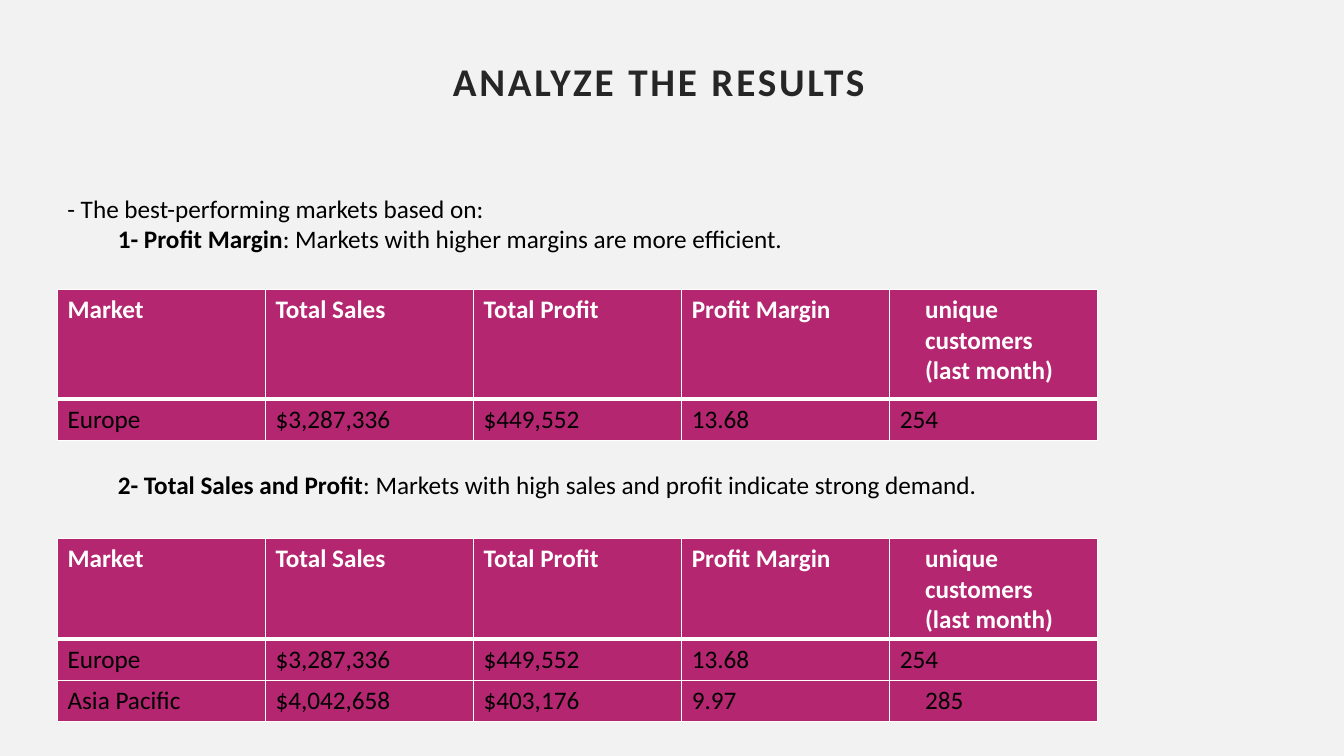
"""Build the slide that analyzes the best-performing markets."""
from pptx import Presentation
from pptx.dml.color import RGBColor
from pptx.enum.text import MSO_ANCHOR as Anchor, MSO_AUTO_SIZE as Fit, PP_ALIGN as Align
from pptx.oxml.ns import qn
from pptx.util import Inches, Pt
from lxml.etree import SubElement

PALE = RGBColor(0xF2, 0xF2, 0xF2)
DARK = RGBColor(0x26, 0x26, 0x26)
BLACK = RGBColor(0, 0, 0)
WHITE = RGBColor(0xFF, 0xFF, 0xFF)
PINK = RGBColor(0xB4, 0x26, 0x70)

LEFT = 0.57
COL = 2.064
ROW = 0.41
LAST = "unique customers\n(last month)"
HEAD = ["Market", "Total Sales", "Total Profit", "Profit Margin", LAST]
EUROPE = ["Europe", "$3,287,336", "$449,552", "13.68", "254"]
ASIA = ["Asia Pacific", "$4,042,658", "$403,176", "9.97", "285"]
INSET = {LAST, "285"}


def style(para, size, color, bold=None):
    """Set the font of a paragraph."""
    font = para.font
    font.name, font.size, font.bold = "Calibri", Pt(size), bold
    font.color.rgb = color


def indent(para, width):
    """Move a paragraph one level in, by the given inches."""
    para.level = 1
    props = para._p.get_or_add_pPr()
    props.set("marL", str(Inches(width)))
    props.set("indent", "0")


def add_title(slide, text):
    """Place the spaced, centred heading."""
    title = slide.shapes.title
    title.left, title.top = Inches(2.31), Inches(0.57)
    title.width, title.height = Inches(8.45), Inches(1.3)
    frame = title.text_frame
    frame.text = text
    frame.word_wrap = True
    frame.auto_size = Fit.NONE
    frame.vertical_anchor = Anchor.TOP
    para = frame.paragraphs[0]
    para.alignment, para.line_spacing = Align.CENTER, 0.9
    style(para, 28, DARK, True)
    para.runs[0].font._element.set("spc", "200")


def add_point(frame, label, text, gap=0):
    """Add an indented point with a bold label."""
    para = frame.add_paragraph()
    para.space_before = Pt(gap)
    indent(para, 0.5)
    style(para, 18, BLACK)
    for words, bold in ((label, True), (text, False)):
        run = para.add_run()
        run.text, run.font.bold = words, bold


def add_body(slide):
    """Add the lead line and its two points around the first table."""
    box = slide.shapes.add_textbox(
        Inches(LEFT), Inches(1.87), Inches(11.56), Inches(4.95))
    frame = box.text_frame
    frame.word_wrap = True
    frame.text = "- The best-performing markets based on:"
    style(frame.paragraphs[0], 18, BLACK)
    add_point(frame, "1- Profit Margin",
              ": Markets with higher margins are more efficient.")
    add_point(frame, "2- Total Sales and Profit",
              ": Markets with high sales and profit indicate strong demand.", 154)


def add_edge(cell, side, width):
    """Draw a white border on one side of a cell."""
    line = SubElement(cell._tc.get_or_add_tcPr(), qn(f"a:ln{side}"), w=str(Pt(width)))
    fill = SubElement(line, qn("a:solidFill"))
    SubElement(fill, qn("a:srgbClr"), val=str(WHITE))


def fill_cell(cell, text, row):
    """Write and format one table cell."""
    head = row == 0
    cell.text = text
    for para in cell.text_frame.paragraphs:
        style(para, 18, WHITE if head else BLACK, head)
        if text in INSET:
            indent(para, 0.25)
    widths = {"L": 1, "R": 1, "T": 3 if row == 1 else 1, "B": 3 if head else 1}
    for side, width in widths.items():
        add_edge(cell, side, width)
    cell.fill.solid()
    cell.fill.fore_color.rgb = PINK


def add_grid(slide, top, tall, rows):
    """Add a market table whose header row has its own height."""
    sizes = [tall] + [ROW] * (len(rows) - 1)
    table = slide.shapes.add_table(
        len(rows), len(HEAD), Inches(LEFT), Inches(top),
        Inches(COL * len(HEAD)), Inches(sum(sizes))).table
    for col in table.columns:
        col.width = Inches(COL)
    for row, (size, texts) in enumerate(zip(sizes, rows)):
        table.rows[row].height = Inches(size)
        for col, text in enumerate(texts):
            fill_cell(table.cell(row, col), text, row)


def main():
    """Build and save the slide."""
    deck = Presentation()
    deck.slide_width, deck.slide_height = Inches(13.33), Inches(7.5)
    slide = deck.slides.add_slide(deck.slide_layouts[5])
    back = slide.background.fill
    back.solid()
    back.fore_color.rgb = PALE
    add_title(slide, "ANALYZE THE RESULTS")
    add_body(slide)
    add_grid(slide, 2.87, 1.09, [HEAD, EUROPE])
    add_grid(slide, 5.34, 1, [HEAD, EUROPE, ASIA])
    deck.save("out.pptx")


if __name__ == "__main__":
    main()
